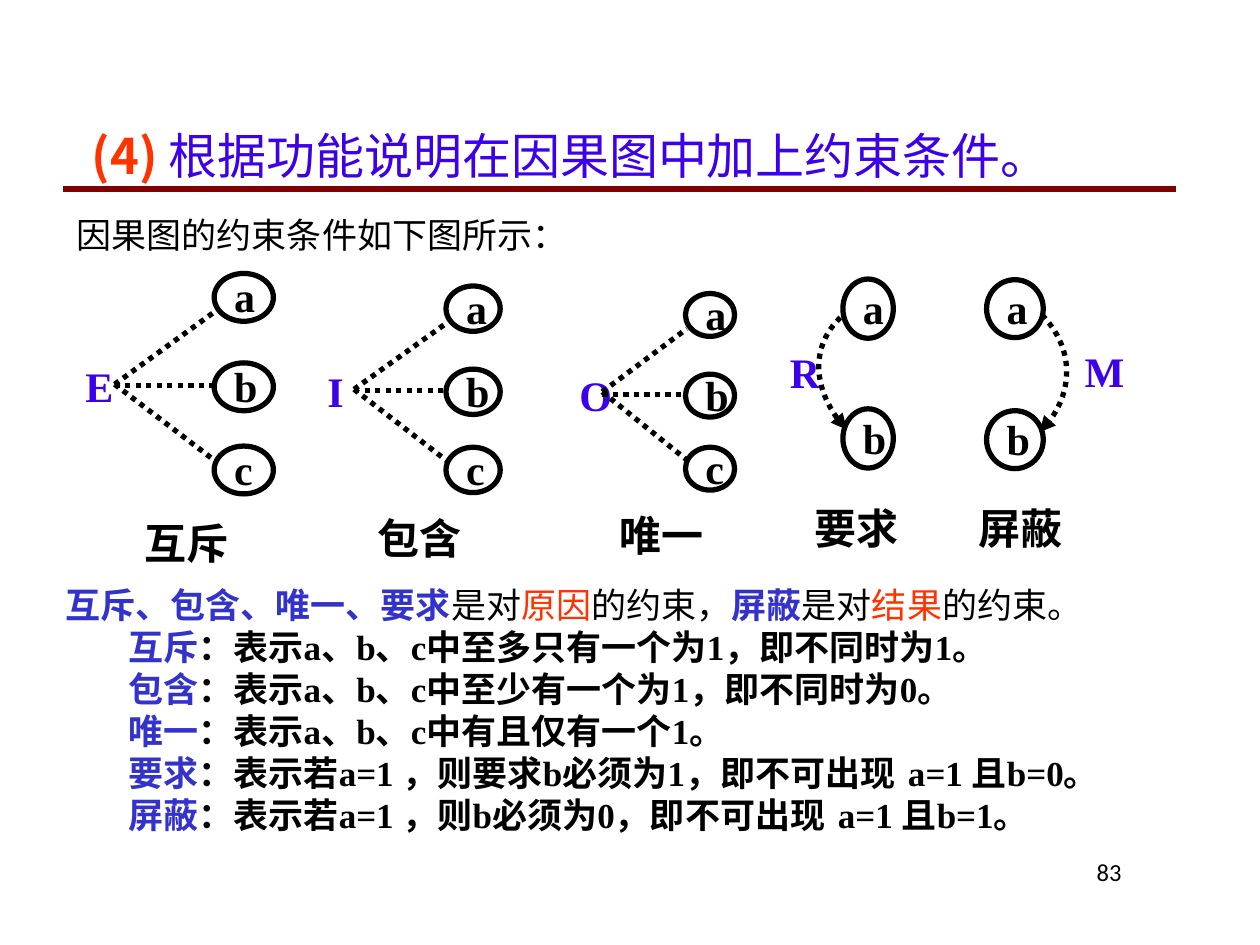
"""Build the slide on constraint conditions in cause-effect graphs."""
import itertools

import lxml.etree
import pptx
import pptx.dml.color
import pptx.enum.dml
import pptx.enum.lang
import pptx.enum.shapes
import pptx.enum.text
import pptx.oxml.ns
import pptx.util

Inches = pptx.util.Inches
Align = pptx.enum.text.PP_ALIGN
Anchor = pptx.enum.text.MSO_ANCHOR
qn = pptx.oxml.ns.qn

BLACK = pptx.dml.color.RGBColor(0x00, 0x00, 0x00)
MAROON = pptx.dml.color.RGBColor(0x80, 0x00, 0x00)
VIOLET = pptx.dml.color.RGBColor(0x3D, 0x00, 0xEA)
BLUE = pptx.dml.color.RGBColor(0x33, 0x33, 0xCC)
ORANGE = pptx.dml.color.RGBColor(0xFF, 0x33, 0x00)
SANS, SERIF, COMIC = "Noto Sans CJK SC", "Times New Roman", "Comic Neue"
EAST_ASIAN_FONTS = {SERIF: COMIC}

HEADING = [
    ("(4) ", SANS, 28, ORANGE, True),
    ("根据功能说明在因果图中加上约束条件。", SANS, 28, VIOLET, False),
]
SUBHEADING = [("因果图的约束条件如下图所示：", SANS, 20, BLACK, False)]
SUMMARY = [
    ("互斥、包含、唯一、要求", BLUE, True),
    ("是对", BLACK, False),
    ("原因", ORANGE, False),
    ("的约束，", BLACK, False),
    ("屏蔽", BLUE, True),
    ("是对", BLACK, False),
    ("结果", ORANGE, False),
    ("的约束。", BLACK, False),
]
DEFINITIONS = [
    ("互斥", ["：表示", "a、b、c", "中至多只有一个为", "1", "，即不同时为", "1", "。"]),
    ("包含", ["：表示", "a、b、c", "中至少有一个为", "1", "，即不同时为", "0", "。"]),
    ("唯一", ["：表示", "a、b、c", "中有且仅有一个", "1", "。"]),
    ("要求", ["：表示若", "a=1 ，", "则要求", "b", "必须为", "1",
            "，即不可出现 ", "a=1 且b=0", "。"]),
    ("屏蔽", ["：表示若", "a=1 ，", "则", "b", "必须为", "0",
            "，即不可出现 ", "a=1 且b=1", "。"]),
]
DIAGRAMS = [
    dict(caption="互斥", caption_center=1.48, caption_top=4.04, letter="E",
         letter_box=(0.58, 2.79, 0.28), left=1.70, size=(0.47, 0.38),
         centers=(2.36, 3.07, 3.73), hub=(0.91, 3.05)),
    dict(caption="包含", caption_center=3.33, caption_top=4.00, letter="I",
         letter_box=(2.50, 2.83, 0.26), left=3.54, size=(0.43, 0.36),
         centers=(2.45, 3.11, 3.73), hub=(2.81, 3.09)),
    dict(caption="唯一", caption_center=5.25, caption_top=3.97, letter="O",
         letter_box=(4.50, 2.86, 0.24), left=5.44, size=(0.39, 0.34),
         centers=(2.50, 3.14, 3.72), hub=(4.78, 3.11)),
    dict(caption="要求", caption_center=6.80, caption_top=3.92, letter="R",
         letter_box=(6.17, 2.68, 0.31), left=6.69, size=(0.40, 0.47),
         centers=(2.45, 3.48),
         curve=[(6.67, 2.52), (6.44, 2.74), (6.45, 3.13), (6.72, 3.41)]),
    dict(caption="屏蔽", caption_center=8.10, caption_top=3.92, letter="M",
         letter_box=(8.51, 2.67, 0.40), left=7.83, size=(0.45, 0.46),
         centers=(2.45, 3.49),
         curve=[(8.27, 2.50), (8.53, 2.77), (8.51, 3.19), (8.25, 3.43)]),
]
SPOKE_SHIFTS = (0.11, -0.01, -0.07)
LABEL_HEIGHT = 0.52
CAPTION_WIDTH = 1.0


def apply_format(target, values):
    for name, value in values.items():
        setattr(target, name, value)


def add_text(slide, box, paragraphs, anchor=Anchor.TOP):
    shape = slide.shapes.add_textbox(*map(Inches, box))
    frame = shape.text_frame
    apply_format(frame, dict(word_wrap=True, vertical_anchor=anchor))
    for index, (runs, layout, indent) in enumerate(paragraphs):
        paragraph = frame.add_paragraph() if index else frame.paragraphs[0]
        apply_format(paragraph, layout)
        paragraph._p.get_or_add_pPr().set("marL", str(Inches(indent)))
        for text, font, size, color, bold in runs:
            run = paragraph.add_run()
            run.text = text
            apply_format(run.font, dict(
                name=font, size=pptx.util.Pt(size), bold=bold,
                language_id=pptx.enum.lang.MSO_LANGUAGE_ID.SIMPLIFIED_CHINESE))
            run.font.color.rgb = color
            east_asian = lxml.etree.Element(
                qn("a:ea"), typeface=EAST_ASIAN_FONTS.get(font, font))
            run._r.rPr.find(qn("a:latin")).addnext(east_asian)


def add_label(slide, text, left, top, width, color=BLACK):
    layout = dict(alignment=Align.CENTER, line_spacing=1.05)
    add_text(slide, (left, top, width, LABEL_HEIGHT),
             [([(text, SERIF, 24, color, True)], layout, 0)], Anchor.MIDDLE)


def style_line(line, color=BLACK, dotted=False):
    line.color.rgb = color
    line.width = pptx.util.Pt(3)
    if dotted:
        line.dash_style = pptx.enum.dml.MSO_LINE.ROUND_DOT


def add_line(slide, start, end, color=BLACK, dotted=False):
    connector = slide.shapes.add_connector(
        pptx.enum.shapes.MSO_CONNECTOR.STRAIGHT, *map(Inches, (*start, *end)))
    style_line(connector.line, color, dotted)
    lxml.etree.SubElement(connector._element.spPr, qn("a:effectLst"))


def add_curved_arrow(slide, points):
    points = [tuple(map(Inches, point)) for point in points]
    builder = slide.shapes.build_freeform(*points[0])
    builder.add_line_segments(points[1:], close=False)
    shape = builder.convert_to_shape()
    outline = next(shape._element.iter(qn("a:path")))
    curve = lxml.etree.Element(qn("a:cubicBezTo"))
    for segment in outline.findall(qn("a:lnTo")):
        curve.append(segment[0])
        outline.remove(segment)
    outline.append(curve)
    shape.shadow.inherit = False
    shape.fill.background()
    style_line(shape.line, dotted=True)
    lxml.etree.SubElement(shape.line._get_or_add_ln(), qn("a:tailEnd"), type="triangle")


def add_diagram(slide, diagram):
    left, (width, height) = diagram["left"], diagram["size"]
    for name, center in zip("abc", diagram["centers"]):
        node = slide.shapes.add_shape(
            pptx.enum.shapes.MSO_SHAPE.OVAL,
            *map(Inches, (left, center - height / 2, width, height)))
        node.shadow.inherit = False
        node.fill.background()
        style_line(node.line)
        add_label(slide, name, left + 0.06, center - 0.02 - LABEL_HEIGHT / 2, width * 0.6)
    add_label(slide, diagram["letter"], *diagram["letter_box"], VIOLET)
    add_label(slide, diagram["caption"], diagram["caption_center"] - CAPTION_WIDTH / 2,
              diagram["caption_top"], CAPTION_WIDTH)
    if "curve" in diagram:
        add_curved_arrow(slide, diagram["curve"])
    else:
        hub_x, hub_y = diagram["hub"]
        for center, shift in zip(diagram["centers"], SPOKE_SHIFTS):
            end_y = center + shift
            start_y = end_y if abs(end_y - hub_y) < 0.05 else hub_y
            add_line(slide, (hub_x, start_y), (left + 0.01, end_y), dotted=True)


def main():
    presentation = pptx.Presentation()
    presentation.slide_width, presentation.slide_height = Inches(10), Inches(7.5)
    slide = presentation.slides.add_slide(presentation.slide_layouts[6])

    add_line(slide, (0.5, 1.5), (9.33, 1.5), MAROON)
    add_text(slide, (0.25, 0.92, 9.31, 1.41), [
        (HEADING, dict(line_spacing=1.05), 0.38),
        (SUBHEADING, dict(line_spacing=1.05, space_before=pptx.util.Pt(16)), 0.26),
    ])
    for diagram in DIAGRAMS:
        add_diagram(slide, diagram)

    paragraphs = [([(text, COMIC, 20, color, bold) for text, color, bold in SUMMARY], {}, 0)]
    for term, pieces in DEFINITIONS:
        runs = [(term, COMIC, 20, BLUE, True)]
        runs += [(text, font, 20, BLACK, True)
                 for text, font in zip(pieces, itertools.cycle((COMIC, SERIF)))]
        paragraphs.append((runs, dict(level=1), 0.5))
    add_text(slide, (0.42, 4.58, 8.92, 2.1), paragraphs)
    add_text(slide, (7.58, 6.75, 1.42, 0.5),
             [([("83", "Calibri", 14, BLACK, False)], dict(alignment=Align.RIGHT), 0)])
    presentation.save("out.pptx")


if __name__ == "__main__":
    main()
